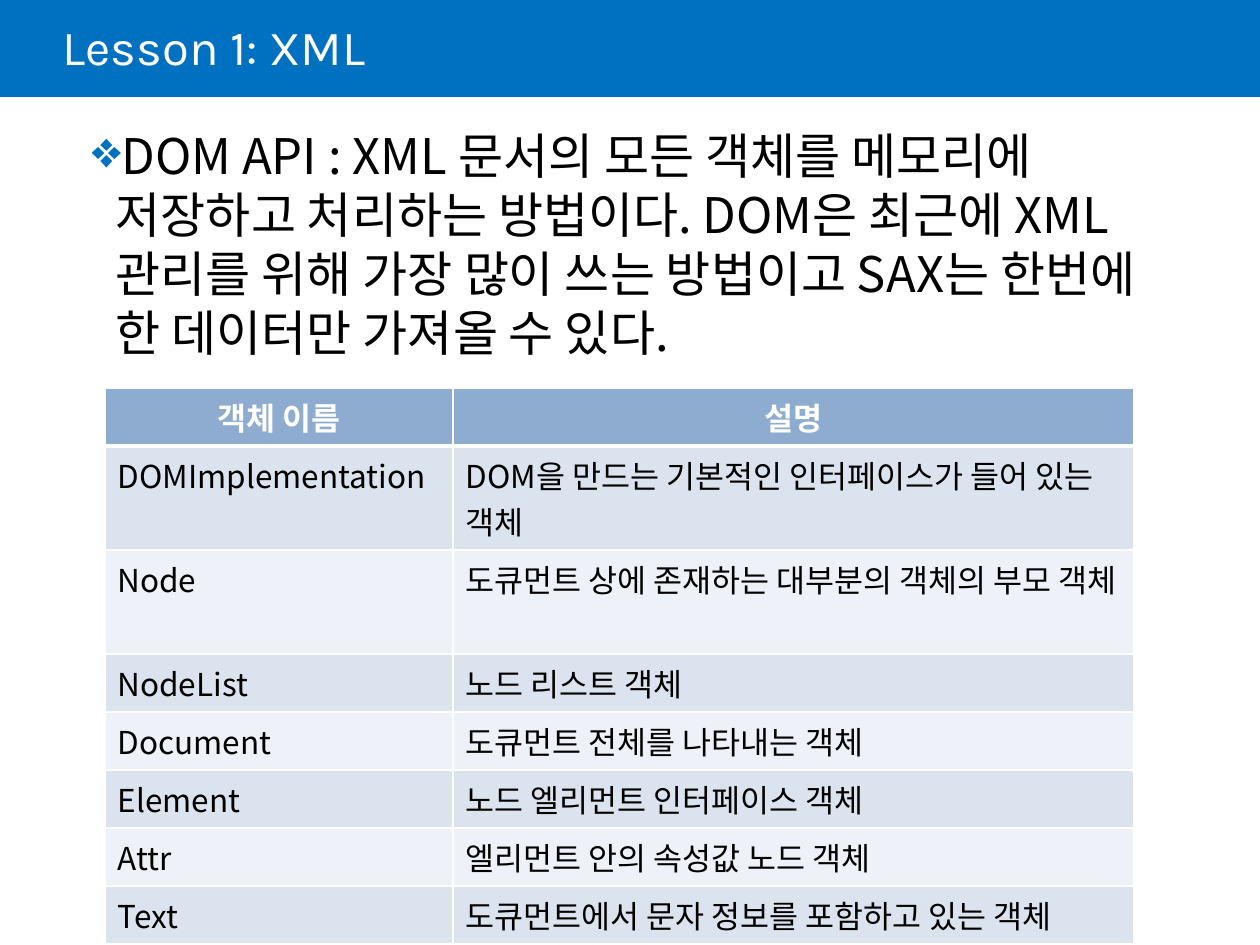
from lxml.etree import SubElement
from pptx import Presentation
from pptx.dml.color import RGBColor
from pptx.enum.shapes import MSO_SHAPE as Shape
from pptx.enum.text import MSO_ANCHOR as Anchor, PP_ALIGN as Align
from pptx.oxml.ns import qn
from pptx.util import Emu, Pt

SCALE = 914400 // 126
BLUE = RGBColor(0x00, 0x70, 0xC0)
HEADER = RGBColor(0x8D, 0xAC, 0xD0)
BAND_DARK = RGBColor(0xDB, 0xE3, 0xEE)
BAND_LIGHT = RGBColor(0xEE, 0xF1, 0xF7)
WHITE = RGBColor(0xFF, 0xFF, 0xFF)
BLACK = RGBColor(0x00, 0x00, 0x00)
KOREAN = "Noto Sans CJK KR"

TITLE = "Lesson 1: XML"
SUMMARY = (
    "DOM API : XML 문서의 모든 객체를 메모리에 저장하고 처리하는 방법이다. "
    "DOM은 최근에 XML 관리를 위해 가장 많이 쓰는 방법이고 "
    "SAX는 한번에 한 데이터만 가져올 수 있다."
)
OBJECTS = [
    ("객체 이름", "설명"),
    ("DOMImplementation", "DOM을 만드는 기본적인 인터페이스가 들어 있는 객체"),
    ("Node", "도큐먼트 상에 존재하는 대부분의 객체의 부모 객체"),
    ("NodeList", "노드 리스트 객체"),
    ("Document", "도큐먼트 전체를 나타내는 객체"),
    ("Element", "노드 엘리먼트 인터페이스 객체"),
    ("Attr", "엘리먼트 안의 속성값 노드 객체"),
    ("Text", "도큐먼트에서 문자 정보를 포함하고 있는 객체"),
]
COLUMN_WIDTHS = (348, 681)
ROW_HEIGHTS = (58, 104, 104, 58, 58, 58, 58, 58)


def px(*lengths):
    return [Emu(length * SCALE) for length in lengths]


def add_span(para, text, size, font, color, bold=False):
    span = para.add_run()
    span.text = text
    span.font.size = Pt(size)
    span.font.name = font
    span.font.bold = bold
    span.font.color.rgb = color


def add_band(page):
    band = page.shapes.add_shape(Shape.RECTANGLE, *px(0, 0, 1260, 97))
    band.shadow.inherit = False
    band.fill.solid()
    band.fill.fore_color.rgb = BLUE
    band.line.fill.background()


def add_text(page, place, margins, anchor, line_spacing):
    box = page.shapes.add_textbox(*px(*place))
    frame = box.text_frame
    frame.word_wrap = True
    frame.vertical_anchor = anchor
    (frame.margin_left, frame.margin_top,
     frame.margin_right, frame.margin_bottom) = px(*margins)
    para = frame.paragraphs[0]
    para.line_spacing = line_spacing
    return para


def add_bullet(para, char, color, left, indent):
    properties = para._p.get_or_add_pPr()
    properties.set("marL", str(left * SCALE))
    properties.set("indent", str(indent * SCALE))
    bullet_color = SubElement(properties, qn("a:buClr"))
    SubElement(bullet_color, qn("a:srgbClr"), val=str(color))
    SubElement(properties, qn("a:buSzPct"), val="105000")
    SubElement(properties, qn("a:buChar"), char=char)


def add_borders(cell, bottom):
    properties = cell._tc.get_or_add_tcPr()
    for index, side in enumerate(("lnL", "lnR", "lnT", "lnB")):
        width = Pt(bottom if side == "lnB" else 1)
        line = properties.makeelement(qn(f"a:{side}"), {"w": str(width)})
        fill = SubElement(line, qn("a:solidFill"))
        SubElement(fill, qn("a:srgbClr"), val=str(WHITE))
        properties.insert(index, line)


def fill_cell(cell, text, row):
    is_header = row == 0
    cell.fill.solid()
    cell.fill.fore_color.rgb = (
        HEADER if is_header else BAND_DARK if row % 2 else BAND_LIGHT
    )
    para = cell.text_frame.paragraphs[0]
    para.alignment = Align.CENTER if is_header else Align.LEFT
    add_span(para, text, 18, KOREAN, WHITE if is_header else BLACK, is_header)
    add_borders(cell, 3 if is_header else 1)


def add_object_table(page):
    place = px(105, 388, sum(COLUMN_WIDTHS), sum(ROW_HEIGHTS))
    table = page.shapes.add_table(len(OBJECTS), len(COLUMN_WIDTHS), *place).table
    for column, width in zip(table.columns, px(*COLUMN_WIDTHS)):
        column.width = width
    for row, height in zip(table.rows, px(*ROW_HEIGHTS)):
        row.height = height
    for row, texts in enumerate(OBJECTS):
        for column, text in enumerate(texts):
            fill_cell(table.cell(row, column), text, row)


def main():
    deck = Presentation()
    deck.slide_width, deck.slide_height = px(1260, 945)
    page = deck.slides.add_slide(deck.slide_layouts[6])
    add_band(page)

    title = add_text(page, (63, 0, 1071, 102), (0, 6, 13, 6), Anchor.MIDDLE, 0.85)
    add_span(title, TITLE, 28, "Karla", WHITE)

    summary = add_text(page, (53, 126, 1119, 709), (0, 0, 0, 0), Anchor.TOP, 1.0)
    summary.level = 1
    summary.space_before = Pt(6)
    add_bullet(summary, "❖", BLUE, 63, -24)
    add_span(summary, SUMMARY, 28, KOREAN, BLACK)

    add_object_table(page)
    deck.save("out.pptx")


if __name__ == "__main__":
    main()
